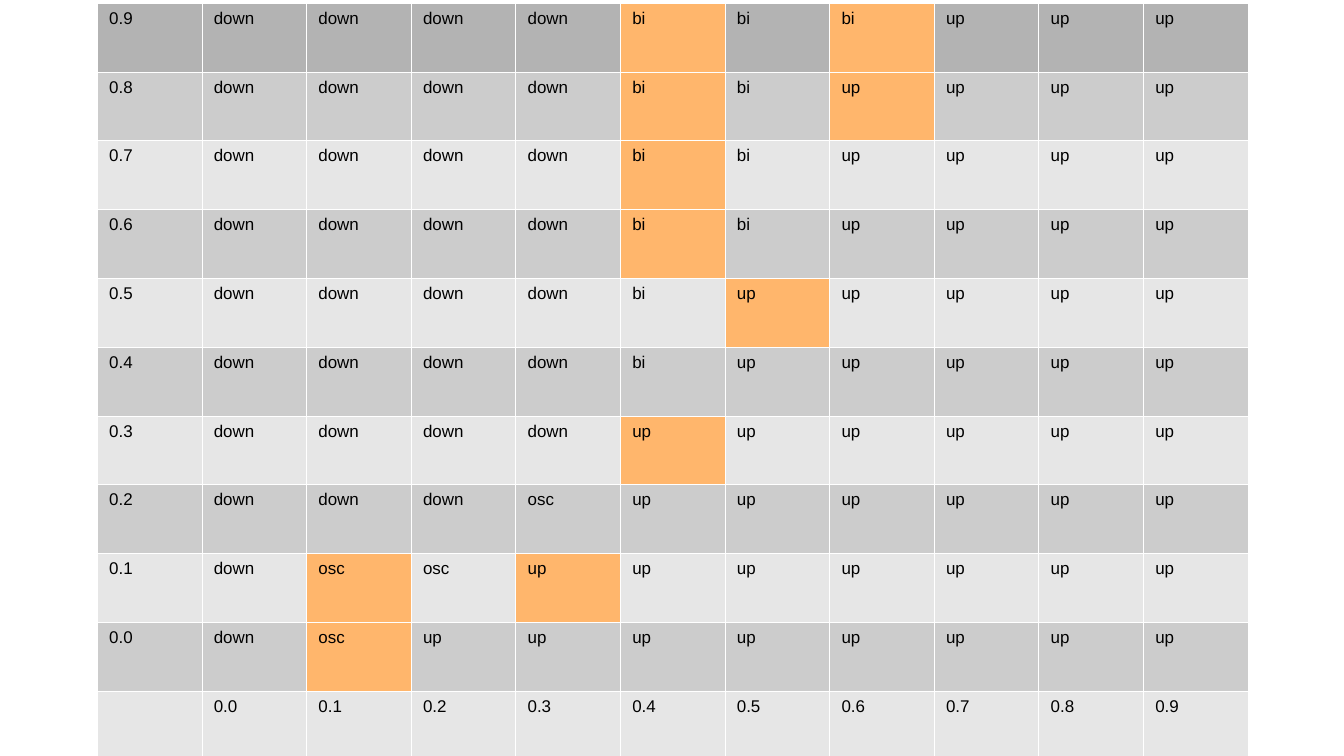
from lxml.etree import SubElement
from pptx import Presentation
from pptx.dml.color import RGBColor
from pptx.oxml.ns import qn
from pptx.util import Pt

COLORS = {
    "top": "B3B3B3",
    "odd": "CCCCCC",
    "even": "E6E6E6",
    "boundary": "FFB66C",
    "grid": "FFFFFF",
    "text": "000000",
}
SCALE = 914400 / 122


def px(length):
    return round(length * SCALE)


levels = [f"0.{digit}" for digit in range(10)]
state_counts = [
    {"down": 4, "bi": 3, "up": 3},
    {"down": 4, "bi": 2, "up": 4},
    {"down": 4, "bi": 2, "up": 4},
    {"down": 4, "bi": 2, "up": 4},
    {"down": 4, "bi": 1, "up": 5},
    {"down": 4, "bi": 1, "up": 5},
    {"down": 4, "up": 6},
    {"down": 3, "osc": 1, "up": 6},
    {"down": 1, "osc": 2, "up": 7},
    {"down": 1, "osc": 1, "up": 8},
]
boundary_cells = {
    (0, 5), (0, 7), (1, 5), (1, 7), (2, 5), (3, 5),
    (4, 6), (6, 5), (8, 2), (8, 4), (9, 2),
}

phase_rows = []
for level, counts in zip(reversed(levels), state_counts):
    states = [state for state, count in counts.items() for _ in range(count)]
    phase_rows.append([level] + states)
phase_rows.append([""] + levels)
size = len(phase_rows)

prs = Presentation()
prs.slide_width = px(1344)
prs.slide_height = px(756)
slide = prs.slides.add_slide(prs.slide_layouts[6])

phase_table = slide.shapes.add_table(
    size, size, px(97), px(3), px(1151), px(757)
).table
phase_table.first_row = False
phase_table.horz_banding = False
for column in phase_table.columns:
    column.width = px(1151) // size
for row in phase_table.rows:
    row.height = px(757) // size

for r, values in enumerate(phase_rows):
    band = "top" if r == 0 else "odd" if r % 2 else "even"
    for c, value in enumerate(values):
        cell = phase_table.cell(r, c)
        properties = cell._tc.get_or_add_tcPr()
        for side in ("a:lnL", "a:lnR", "a:lnT", "a:lnB"):
            border = SubElement(properties, qn(side), w=str(Pt(0.06)))
            border_fill = SubElement(border, qn("a:solidFill"))
            SubElement(border_fill, qn("a:srgbClr"), val=COLORS["grid"])
        cell.fill.solid()
        color = "boundary" if (r, c) in boundary_cells else band
        cell.fill.fore_color.rgb = RGBColor.from_string(COLORS[color])
        if value:
            run = cell.text_frame.paragraphs[0].add_run()
            run.text = value
            run.font.name = "Arial"
            run.font.size = Pt(10)
            run.font.color.rgb = RGBColor.from_string(COLORS["text"])

prs.save("out.pptx")
